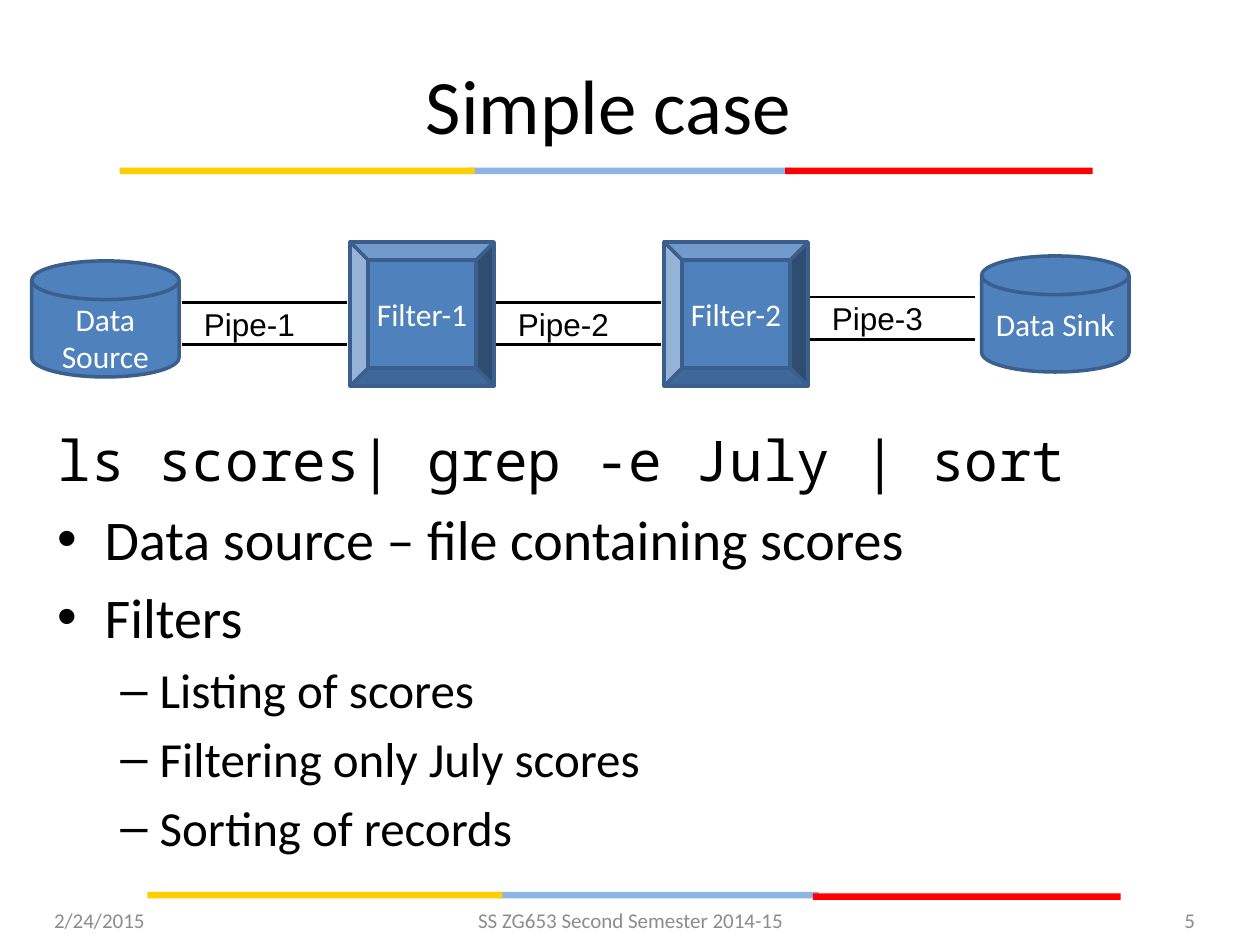
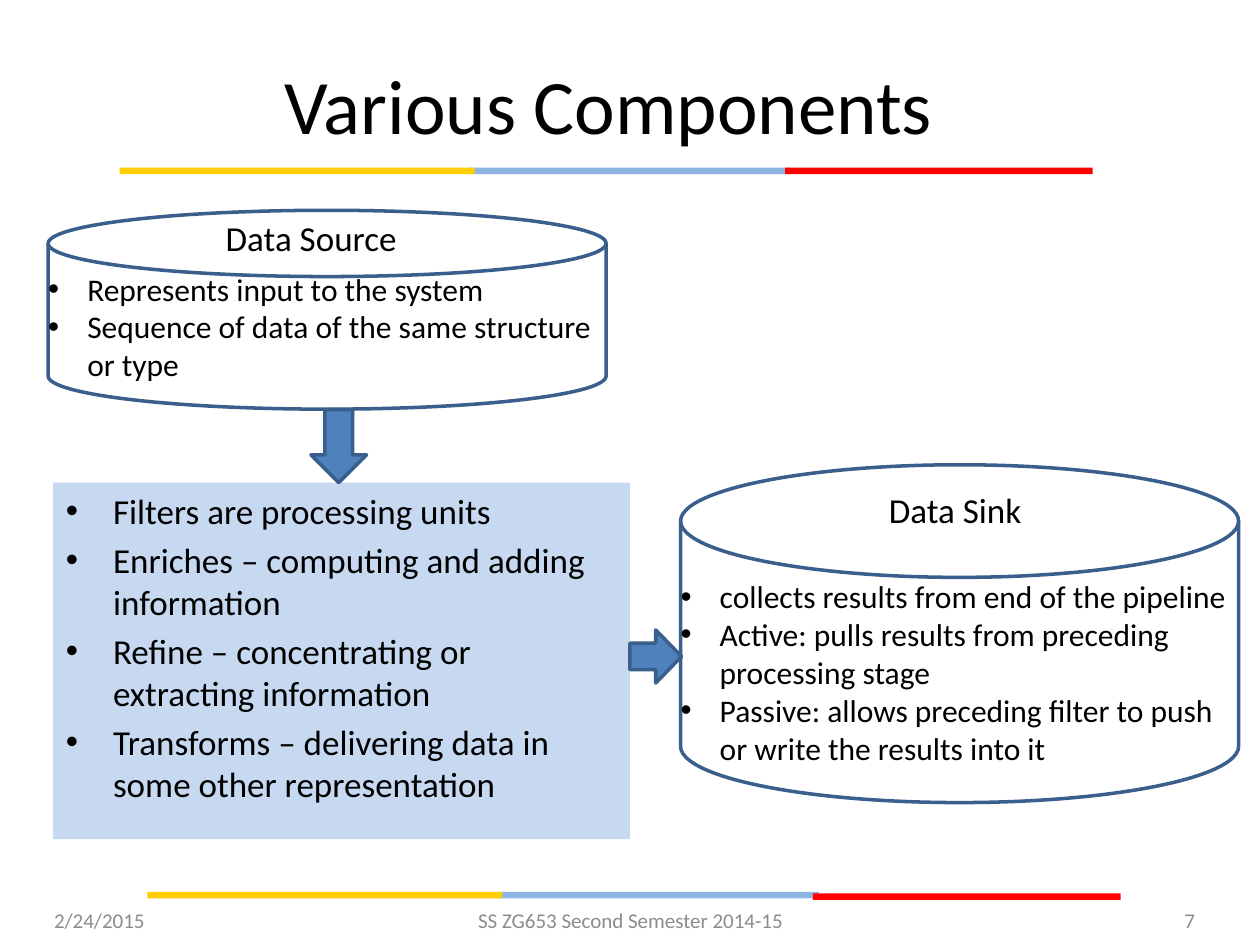
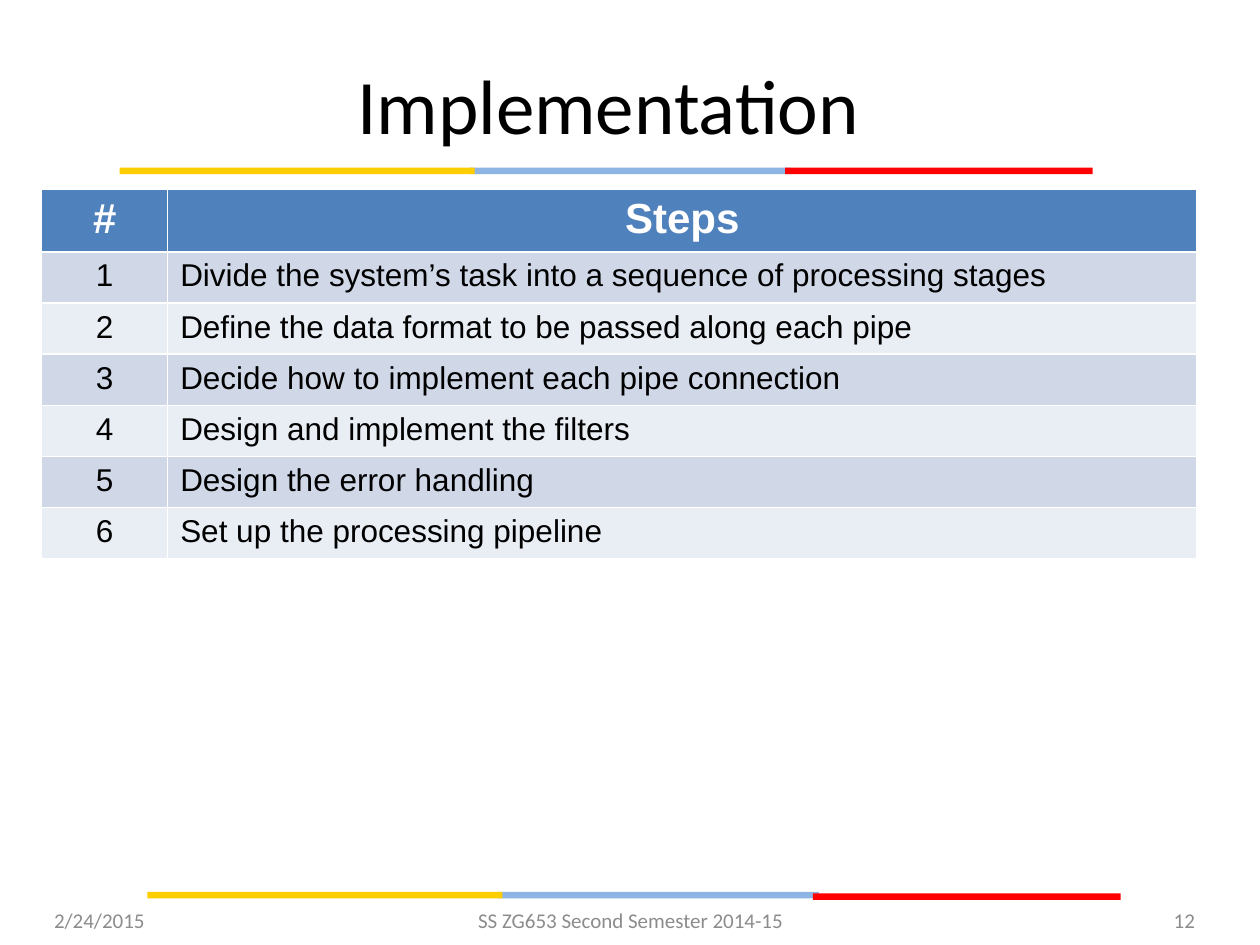
from dataclasses import dataclass

from lxml.etree import SubElement
from pptx import Presentation
from pptx.dml.color import RGBColor
from pptx.enum.shapes import MSO_CONNECTOR, MSO_SHAPE
from pptx.enum.text import MSO_ANCHOR, PP_ALIGN
from pptx.oxml.ns import qn
from pptx.util import Cm, Pt


@dataclass(frozen=True)
class Theme:
    black: str = "000000"
    white: str = "FFFFFF"
    grey: str = "8C8C8C"
    yellow: str = "FFCE00"
    sky: str = "8EB4E3"
    red: str = "FF0000"
    blue: str = "4F81BD"
    outline: str = "3A5F8C"
    pale_blue: str = "C6D9F1"
    row_fills: tuple = ("D0D8E8", "E9EDF4")
    heading_font: str = "Calibri"
    plain_font: str = "Arial"
    code_font: str = "Noto Sans Mono"
    title_size: int = 44
    body_size: int = 32
    sub_size: int = 28
    header_size: int = 24
    component_size: int = 20
    label_size: int = 18
    footer_size: int = 12


THEME = Theme()

# Paragraph formats; indents are in centimetres
CODE = dict(size=THEME.body_size, font=THEME.code_font)
BULLET = dict(size=THEME.body_size, bullet="•", indent=0.95, hanging=0.95, space_ratio=0.2)
DASH = dict(size=THEME.sub_size, bullet="–", indent=2.06, hanging=0.79, space_ratio=0.2)
FILTER_BULLET = BULLET | dict(size=THEME.component_size)
DISK_BULLET = dict(size=THEME.label_size, bullet="•", indent=0.79, hanging=0.79)
DISK_HEADING = dict(size=THEME.component_size, align=PP_ALIGN.CENTER)
SHAPE_LABEL = dict(size=THEME.label_size, color=THEME.white, align=PP_ALIGN.CENTER)
PIPE_LABEL = dict(size=THEME.label_size, font=THEME.plain_font)

# Bands: left, top, extra drop of the red part
BAND_STARTS = [(2.41, 3.38, 0), (2.97, 17.98, 0.03)]
BAND_HEIGHT = 0.13

DATE = "2/24/2015"
COURSE = "SS ZG653 Second Semester 2014-15"
FOOTER_TOP, FOOTER_HEIGHT = 18.03, 1.02

# Pipeline: each stage repeats at the same step
STAGE_STEP = 6.33
PIPES = [("Pipe-1", 6.1), ("Pipe-2", 6.1), ("Pipe-3", 5.99)]
PIPE_LEFT, PIPE_LENGTH, PIPE_GAP = 3.66, 3.33, 0.85
FILTERS = ["Filter-1", "Filter-2"]
FILTER_LEFT, FILTER_TOP, FILTER_SIDE = 7.06, 4.88, 2.9
STORES = [
    ("Data Source", 0.64, 5.26, MSO_ANCHOR.TOP),
    ("Data Sink", 19.79, 5.16, MSO_ANCHOR.MIDDLE),
]
EXAMPLE = [
    ("ls scores| grep -e July | sort", CODE),
    ("Data source – file containing scores", BULLET),
    ("Filters", BULLET),
    ("Listing of scores", DASH),
    ("Filtering only July scores", DASH),
    ("Sorting of records", DASH),
]

FILTER_ROLES = [
    "Filters are processing units",
    "Enriches – computing and adding information",
    "Refine – concentrating or extracting information",
    "Transforms – delivering data in some other representation",
]
DISKS = [
    dict(
        heading="Data Source",
        heading_box=(0.56, 4.24, 11.43, 1.52),
        box=(0.97, 4.24, 11.25, 4.01),
        anchor=MSO_ANCHOR.MIDDLE,
        points=[
            "Represents input to the system",
            "Sequence of data of the same structure or type",
        ],
    ),
    dict(
        heading="Data Sink",
        heading_box=(13.54, 9.73, 11.43, 1.52),
        box=(13.72, 9.37, 11.25, 6.81),
        anchor=MSO_ANCHOR.TOP,
        points=[
            "collects results from end of the pipeline",
            "Active: pulls results from preceding processing stage",
            "Passive: allows preceding filter to push or write the results into it",
        ],
    ),
]
ARROWS = [
    (MSO_SHAPE.DOWN_ARROW, (6.27, 8.26, 1.12, 1.47)),
    (MSO_SHAPE.RIGHT_ARROW, (12.7, 12.7, 1.04, 1.07)),
]

STEPS = [
    "Divide the system’s task into a sequence of processing stages",
    "Define the data format to be passed along each pipe",
    "Decide how to implement each pipe connection",
    "Design and implement the filters",
    "Design the error handling",
    "Set up the processing pipeline",
]
COLUMN_WIDTHS = [2.54, 20.75]
ROW_HEIGHT = 1.03


def rgb(color):
    return RGBColor.from_string(color)


def lengths(box):
    return [Cm(value) for value in box]


def add_text(frame, text, *, size, font=THEME.heading_font, color=THEME.black, bold=False,
             align=PP_ALIGN.LEFT, bullet=None, indent=0, hanging=0, space_ratio=0):
    """Fill the empty first paragraph of a frame, or append a new one."""
    is_first = not frame.text
    paragraph = frame.paragraphs[0] if is_first else frame.add_paragraph()
    paragraph.text = text
    paragraph.alignment = align
    paragraph.space_before = Pt(0 if is_first else size * space_ratio)
    if bullet:
        properties = paragraph._p.get_or_add_pPr()
        properties.set("marL", str(Cm(indent)))
        properties.set("indent", str(-Cm(hanging)))
        SubElement(properties, qn("a:buFont")).set("typeface", THEME.plain_font)
        SubElement(properties, qn("a:buChar")).set("char", bullet)
    paragraph.font.size = Pt(size)
    paragraph.font.name = font
    paragraph.font.bold = bold
    paragraph.font.color.rgb = rgb(color)


def add_box(slide, box, anchor=MSO_ANCHOR.TOP, wrap=True):
    frame = slide.shapes.add_textbox(*lengths(box)).text_frame
    frame.word_wrap = wrap
    frame.vertical_anchor = anchor
    return frame


def add_block(slide, kind, box, fill=None, line=None, anchor=MSO_ANCHOR.MIDDLE, margin=0):
    shape = slide.shapes.add_shape(kind, *lengths(box))
    shape.shadow.inherit = False
    if fill:
        shape.fill.solid()
        shape.fill.fore_color.rgb = rgb(fill)
    else:
        shape.fill.background()
    if line:
        shape.line.color.rgb = rgb(line)
        shape.line.width = Pt(2)
    else:
        shape.line.fill.background()
    frame = shape.text_frame
    frame.word_wrap = True
    frame.vertical_anchor = anchor
    frame.margin_left = frame.margin_right = Cm(2 * margin)
    frame.margin_top = frame.margin_bottom = Cm(margin)
    return shape


def add_line(slide, left, top, length):
    line = slide.shapes.add_connector(
        MSO_CONNECTOR.STRAIGHT, *lengths((left, top, left + length, top)))
    line.line.color.rgb = rgb(THEME.black)
    line.line.width = Pt(1.5)
    SubElement(line._element.spPr, qn("a:effectLst"))


def add_slide(presentation, title, number):
    """Add a slide with the shared title, colour bands and footer."""
    slide = presentation.slides.add_slide(presentation.slide_layouts[5])
    for left, top, red_drop in BAND_STARTS:
        for offset, width, drop, color in (
            (7.06, 6.48, 0, THEME.sky),
            (13.42, 6.2, red_drop, THEME.red),
            (0, 7.16, 0, THEME.yellow),
        ):
            add_block(slide, MSO_SHAPE.RECTANGLE,
                      (left + offset, top + drop, width, BAND_HEIGHT), fill=color)

    placeholder = slide.shapes.title
    placeholder.left, placeholder.top, placeholder.width, placeholder.height = lengths(
        (0.84, 0.79, 22.86, 2.62))
    placeholder.text_frame.vertical_anchor = MSO_ANCHOR.MIDDLE
    add_text(placeholder.text_frame, title, size=THEME.title_size, align=PP_ALIGN.CENTER)

    for text, left, width, align in (
        (DATE, 0.84, 5.92, PP_ALIGN.LEFT),
        (COURSE, 8.69, 8.05, PP_ALIGN.CENTER),
        (str(number), 18.42, 5.92, PP_ALIGN.RIGHT),
    ):
        frame = add_box(slide, (left, FOOTER_TOP, width, FOOTER_HEIGHT), MSO_ANCHOR.MIDDLE)
        add_text(frame, text, size=THEME.footer_size, color=THEME.grey, align=align)
    return slide


def build_simple_case(presentation):
    slide = add_slide(presentation, "Simple case", 5)
    for index, (label, top) in enumerate(PIPES):
        left = PIPE_LEFT + index * STAGE_STEP
        add_line(slide, left, top, PIPE_LENGTH)
        add_line(slide, left, top + PIPE_GAP, PIPE_LENGTH)
        frame = add_box(slide, (left + 0.2, top - 0.08, 2.36, 1.02), wrap=False)
        add_text(frame, label, **PIPE_LABEL)
    for index, label in enumerate(FILTERS):
        box = (FILTER_LEFT + index * STAGE_STEP, FILTER_TOP, FILTER_SIDE, FILTER_SIDE)
        bevel = add_block(slide, MSO_SHAPE.BEVEL, box, THEME.blue, THEME.outline)
        add_text(bevel.text_frame, label, **SHAPE_LABEL)
    for label, left, top, anchor in STORES:
        disk = add_block(slide, MSO_SHAPE.FLOWCHART_MAGNETIC_DISK, (left, top, 2.97, 2.34),
                         THEME.blue, THEME.outline, anchor)
        add_text(disk.text_frame, label, **SHAPE_LABEL)
    body = add_box(slide, (0.91, 8.46, 23.29, 9.22))
    for text, style in EXAMPLE:
        add_text(body, text, **style)


def build_components(presentation):
    slide = add_slide(presentation, "Various Components", 7)
    filters = add_block(slide, MSO_SHAPE.RECTANGLE, (1.07, 9.73, 11.63, 7.19),
                        THEME.pale_blue, anchor=MSO_ANCHOR.TOP, margin=0.13)
    for role in FILTER_ROLES:
        add_text(filters.text_frame, role, **FILTER_BULLET)
    for disk in DISKS:
        add_text(add_box(slide, disk["heading_box"]), disk["heading"], **DISK_HEADING)
        shape = add_block(slide, MSO_SHAPE.FLOWCHART_MAGNETIC_DISK, disk["box"],
                          line=THEME.outline, anchor=disk["anchor"])
        for point in disk["points"]:
            add_text(shape.text_frame, point, **DISK_BULLET)
    for kind, box in ARROWS:
        add_block(slide, kind, box, THEME.blue, THEME.outline)


def build_implementation(presentation):
    slide = add_slide(presentation, "Implementation", 12)
    rows = [("#", "Steps")] + [(str(number), step) for number, step in enumerate(STEPS, 1)]
    table = slide.shapes.add_table(len(rows), len(COLUMN_WIDTHS), *lengths(
        (0.84, 3.81, sum(COLUMN_WIDTHS), ROW_HEIGHT * len(rows)))).table
    for column, width in zip(table.columns, COLUMN_WIDTHS):
        column.width = Cm(width)
    for row_index, row in enumerate(rows):
        is_header = row_index == 0
        fill = THEME.blue if is_header else THEME.row_fills[(row_index - 1) % 2]
        for column_index, text in enumerate(row):
            cell = table.cell(row_index, column_index)
            cell.fill.solid()
            cell.fill.fore_color.rgb = rgb(fill)
            centred = is_header or column_index == 0
            add_text(cell.text_frame, text,
                     size=THEME.header_size if is_header else THEME.label_size,
                     font=THEME.plain_font,
                     color=THEME.white if is_header else THEME.black,
                     bold=is_header,
                     align=PP_ALIGN.CENTER if centred else PP_ALIGN.LEFT)


def main():
    presentation = Presentation()
    presentation.slide_width, presentation.slide_height = Cm(25.4), Cm(19.05)
    build_simple_case(presentation)
    build_components(presentation)
    build_implementation(presentation)
    presentation.save("out.pptx")


if __name__ == "__main__":
    main()
